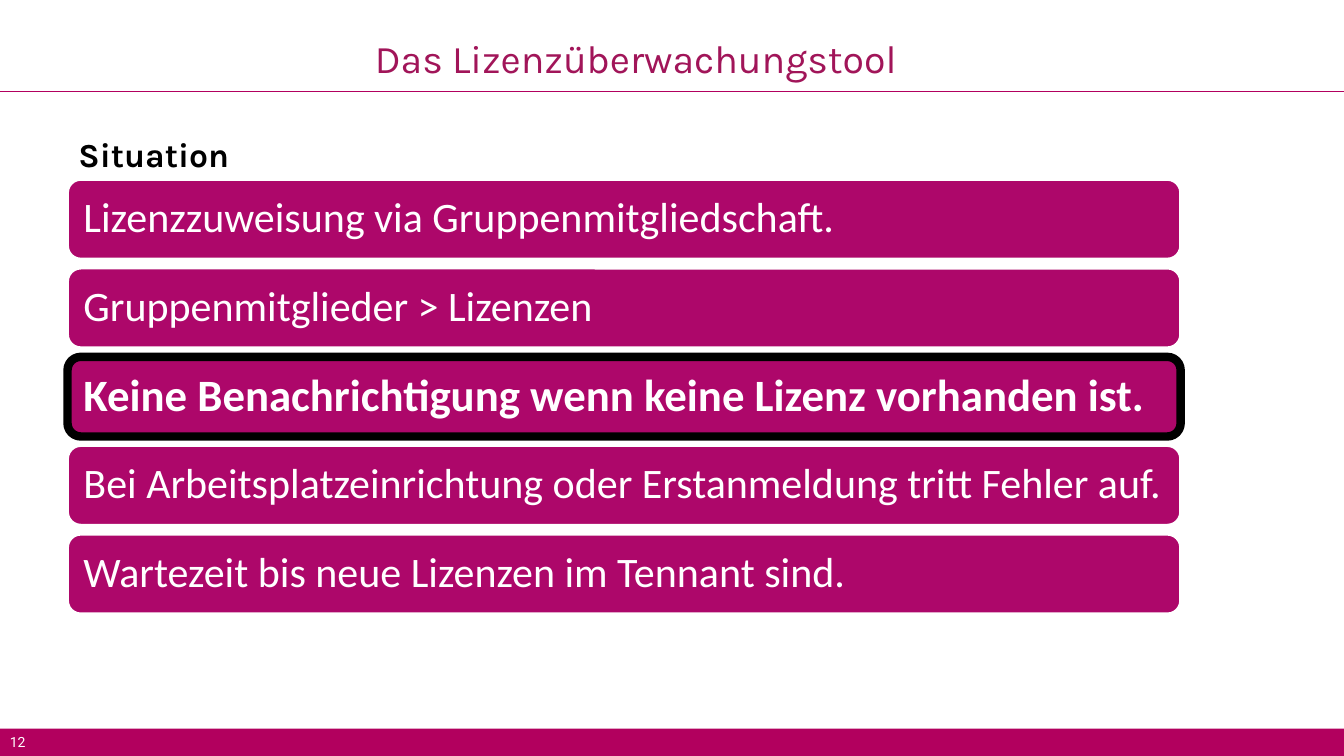
from pptx import Presentation
from pptx.dml.color import RGBColor
from pptx.enum.shapes import MSO_CONNECTOR as Connector, MSO_SHAPE as Shape
from pptx.enum.text import MSO_ANCHOR as Anchor, PP_ALIGN as Align
from pptx.oxml.ns import qn
from pptx.util import Inches, Pt
from lxml.etree import SubElement

COLORS = {"brand": "B2005E", "title": "A11559", "bar": "AD076A",
          "black": "000000", "white": "FFFFFF"}
WIDTH, HEIGHT = 13.33, 7.5


def color(name):
    return RGBColor.from_string(COLORS[name])


def write(shape, text, font, size, color_name, bold=False, anchor=Anchor.TOP):
    frame = shape.text_frame
    frame.word_wrap = True
    frame.vertical_anchor = anchor
    frame.text = text
    paragraph = frame.paragraphs[0]
    paragraph.alignment = Align.LEFT
    run_font = paragraph.runs[0].font
    run_font.name, run_font.size, run_font.bold = font, Pt(size), bold
    run_font.color.rgb = color(color_name)
    return paragraph


presentation = Presentation()
presentation.slide_width, presentation.slide_height = Inches(WIDTH), Inches(HEIGHT)
slide = presentation.slides.add_slide(presentation.slide_layouts[6])
shapes = slide.shapes

# Footer band
FOOTER_HEIGHT = 0.27
footer_top = HEIGHT - FOOTER_HEIGHT
footer = shapes.add_shape(Shape.RECTANGLE, 0, Inches(footer_top),
                          Inches(WIDTH), Inches(FOOTER_HEIGHT))
footer.shadow.inherit = False
footer.fill.solid()
footer.fill.fore_color.rgb = color("brand")
footer.line.fill.background()

# Rule below the title
rule = shapes.add_connector(Connector.STRAIGHT, 0, Inches(0.91), Inches(WIDTH), Inches(0.91))
rule.line.color.rgb = color("brand")
rule.line.width = Pt(0.75)
SubElement(rule._element.spPr, qn("a:effectLst"))

# Title, heading and slide number
labels = [
    ("Das Lizenzüberwachungstool", 3.62, 0.29, 9.03, 0.79, "Karla", 28, "title", False, Anchor.TOP),
    ("Situation", 0.68, 1.08, 11.98, 0.7, "Karla", 24, "black", True, Anchor.BOTTOM),
    ("12", 0, footer_top, 0.68, FOOTER_HEIGHT, "Roboto", 10, "white", False, Anchor.TOP),
]
for text, left, top, width, height, *style in labels:
    box = shapes.add_textbox(Inches(left), Inches(top), Inches(width), Inches(height))
    write(box, text, *style)

# Stacked statements, one of them emphasised
BAR_LEFT, BAR_TOP, BAR_WIDTH, BAR_HEIGHT, BAR_PITCH = 0.67, 1.78, 11.04, 0.79, 0.88
statements = [
    "Lizenzzuweisung via Gruppenmitgliedschaft.",
    "Gruppenmitglieder > Lizenzen",
    "Keine Benachrichtigung wenn keine Lizenz vorhanden ist.",
    "Bei Arbeitsplatzeinrichtung oder Erstanmeldung tritt Fehler auf.",
    "Wartezeit bis neue Lizenzen im Tennant sind.",
]
EMPHASISED = 2
for row, statement in enumerate(statements):
    strong = row == EMPHASISED
    bar = shapes.add_shape(Shape.ROUNDED_RECTANGLE, Inches(BAR_LEFT),
                           Inches(BAR_TOP + row * BAR_PITCH),
                           Inches(BAR_WIDTH), Inches(BAR_HEIGHT))
    bar.shadow.inherit = False
    bar.fill.solid()
    bar.fill.fore_color.rgb = color("bar")
    bar.line.color.rgb = color("black" if strong else "white")
    bar.line.width = Pt(6 if strong else 2)
    frame = bar.text_frame
    frame.margin_left = frame.margin_top = frame.margin_bottom = Inches(0.12)
    frame.margin_right = Inches(0.1)
    paragraph = write(bar, statement, "Calibri", 32 if strong else 30, "white",
                      strong, Anchor.MIDDLE)
    paragraph.line_spacing = 0.9

presentation.save("out.pptx")
